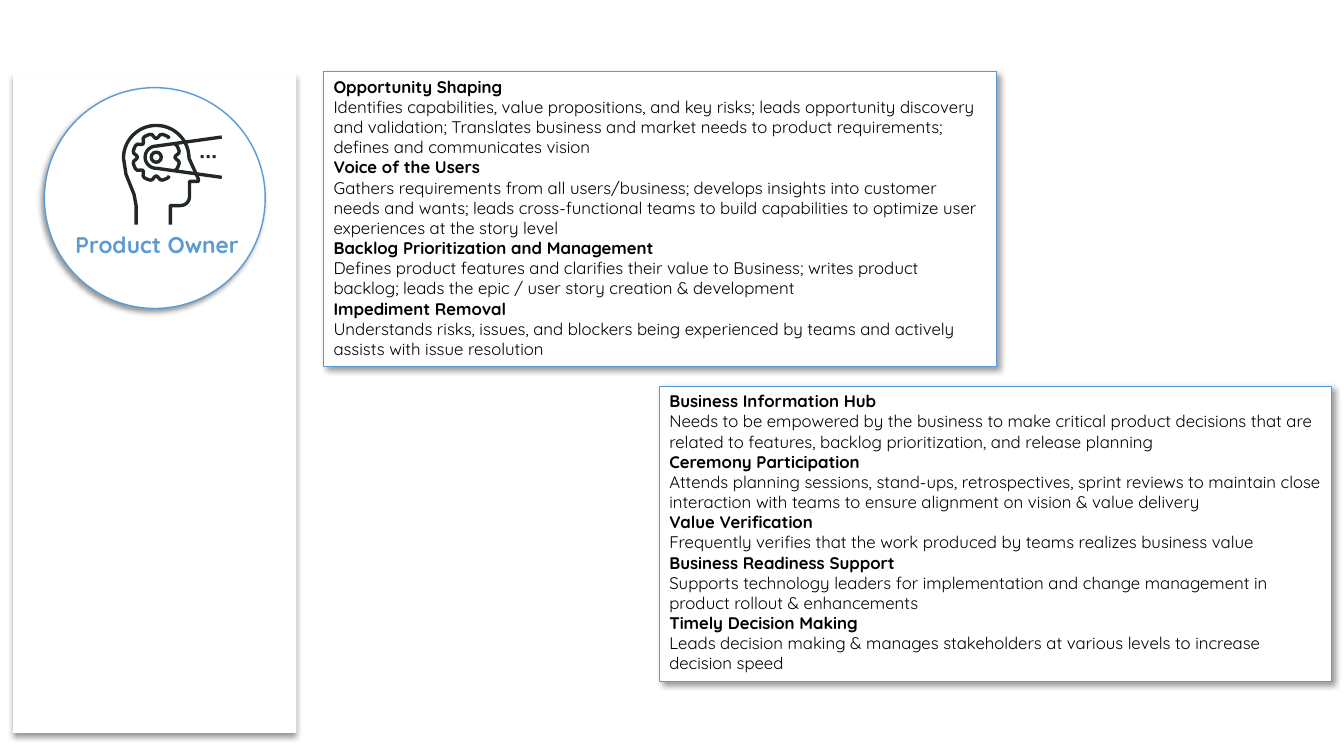
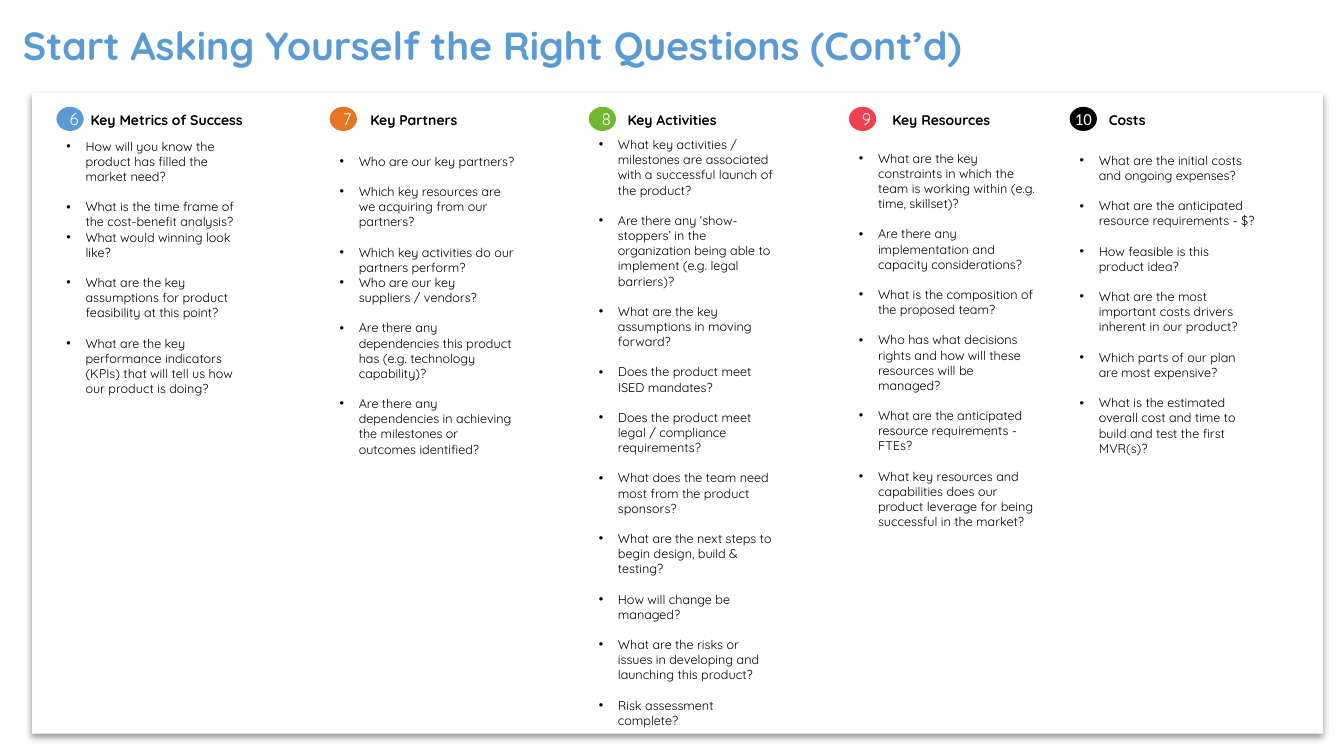
"""Build two slides: the product owner role and a set of product questions."""
import math

import lxml.etree
import pptx
import pptx.dml.color
import pptx.enum.shapes
import pptx.enum.text
import pptx.oxml.ns
import pptx.util

Inches = pptx.util.Inches
Pt = pptx.util.Pt
qn = pptx.oxml.ns.qn
SHAPE = pptx.enum.shapes.MSO_SHAPE
ANCHOR = pptx.enum.text.MSO_ANCHOR
ALIGN = pptx.enum.text.PP_ALIGN
AUTO_SIZE = pptx.enum.text.MSO_AUTO_SIZE

COLORS = {
    "white": "FFFFFF", "black": "000000", "blue": "5B9BD5", "ink": "222829",
    "orange": "E47623", "green": "73B632", "red": "EF4051",
}
BASE = {"name": "Quicksand", "size": 12, "color": "black", "bold": False}
TITLE = BASE | {"size": 28, "color": "blue", "bold": True}
ROLE = TITLE | {"size": 16.2}
STRONG = BASE | {"bold": True}
HEADING = STRONG | {"size": 10}
QUESTION = BASE | {"size": 9}
NUMBER = BASE | {"color": "white"}

DUTIES = [
    ((3.21, 0.71, 6.67, 2.93), [
        ("Opportunity Shaping", "Identifies capabilities, value propositions, and key risks; leads opportunity discovery and validation; Translates business and market needs to product requirements; defines and communicates vision"),
        ("Voice of the Users", "Gathers requirements from all users/business; develops insights into customer needs and wants; leads cross-functional teams to build capabilities to optimize user experiences at the story level"),
        ("Backlog Prioritization and Management", "Defines product features and clarifies their value to Business; writes product backlog; leads the epic / user story creation & development"),
        ("Impediment Removal", "Understands risks, issues, and blockers being experienced by teams and actively assists with issue resolution"),
    ]),
    ((6.54, 3.83, 6.67, 2.93), [
        ("Business Information Hub", "Needs to be empowered by the business to make critical product decisions that are related to features, backlog prioritization, and release planning"),
        ("Ceremony Participation", "Attends planning sessions, stand-ups, retrospectives, sprint reviews to maintain close interaction with teams to ensure alignment on vision & value delivery"),
        ("Value Verification", "Frequently verifies that the work produced by teams realizes business value"),
        ("Business Readiness Support", "Supports technology leaders for implementation and change management in product rollout & enhancements"),
        ("Timely Decision Making", "Leads decision making & manages stakeholders at various levels to increase decision speed"),
    ]),
]

COLUMNS = [
    {"number": "6", "color": "blue", "left": 0.56, "bottom": 3.98,
     "heading": ("Key Metrics of Success", 0.8, 1.82, ALIGN.LEFT),
     "groups": [
         ["How will you know the product has filled the market need?"],
         ["What is the time frame of the cost-benefit analysis?",
          "What would winning look like?"],
         ["What are the key assumptions for product feasibility at this point?"],
         ["What are the key performance indicators (KPIs) that will tell us how our product is doing?"],
     ]},
    {"number": "7", "color": "orange", "left": 3.27, "bottom": 4.58,
     "heading": ("Key Partners", 3.25, 1.71, ALIGN.CENTER),
     "groups": [
         ["Who are our key partners?"],
         ["Which key resources are we acquiring from our partners?"],
         ["Which key activities do our partners perform?",
          "Who are our key suppliers / vendors?"],
         ["Are there any dependencies this product has (e.g. technology capability)?"],
         ["Are there any dependencies in achieving the milestones or outcomes identified?"],
     ]},
    {"number": "8", "color": "green", "left": 5.84, "bottom": 7.27,
     "heading": ("Key Activities", 5.81, 1.71, ALIGN.CENTER),
     "groups": [
         ["What key activities / milestones are associated with a successful launch of the product?"],
         ["Are there any ‘show-stoppers’ in the organization being able to implement (e.g. legal barriers)?"],
         ["What are the key assumptions in moving forward?"],
         ["Does the product meet ISED mandates?"],
         ["Does the product meet legal / compliance requirements?"],
         ["What does the team need most from the product sponsors?"],
         ["What are the next steps to begin design, build & testing?"],
         ["How will change be managed?"],
         ["What are the risks or issues in developing and launching this product?"],
         ["Risk assessment complete?"],
     ]},
    {"number": "9", "color": "red", "left": 8.42, "bottom": 5.3,
     "heading": ("Key Resources", 8.74, 1.19, ALIGN.CENTER),
     "groups": [
         ["What are the key constraints in which the team is working within (e.g. time, skillset)?"],
         ["Are there any implementation and capacity considerations?"],
         ["What is the composition of the proposed team?"],
         ["Who has what decisions rights and how will these resources will be managed?"],
         ["What are the anticipated resource requirements - FTEs?"],
         ["What key resources and capabilities does our product leverage for being successful in the market?"],
     ]},
    {"number": "10", "color": "black", "left": 10.61, "bottom": 4.57,
     "heading": ("Costs", 10.81, 0.65, ALIGN.RIGHT),
     "groups": [
         ["What are the initial costs and ongoing expenses?"],
         ["What are the anticipated resource requirements - $?"],
         ["How feasible is this product idea?"],
         ["What are the most important costs drivers inherent in our product?"],
         ["Which parts of our plan are most expensive?"],
         ["What is the estimated overall cost and time to build and test the first MVR(s)?"],
     ]},
]
HEADING_TOP, HEADING_HEIGHT = 1.06, 0.26
QUESTIONS_TOP = HEADING_TOP + HEADING_HEIGHT
QUESTIONS_WIDTH = 1.95
QUESTION_GAP = 10.8
EYE = (1.55, 1.56)
ICON_WEIGHT = 2.4


def rgb(name):
    return pptx.dml.color.RGBColor.from_string(COLORS[name])


def style_line(shape, color, weight):
    if color:
        shape.line.color.rgb = rgb(color)
        shape.line.width = Pt(weight)
    else:
        shape.line.fill.background()


def add_shape(page, kind, place, fill=None, line=None, weight=1, shadow=None):
    """Add a preset shape; shadow is its direction in degrees."""
    shape = page.shapes.add_shape(kind, *map(Inches, place))
    shape.shadow.inherit = False
    if fill:
        shape.fill.solid()
        shape.fill.fore_color.rgb = rgb(fill)
    else:
        shape.fill.background()
    style_line(shape, line, weight)
    if shadow is not None:
        effects = shape._element.spPr.find(qn("a:effectLst"))
        outer = lxml.etree.SubElement(
            effects, qn("a:outerShdw"), blurRad=str(Pt(4)), dist=str(Pt(3)),
            dir=str(shadow * 60000), algn="t", rotWithShape="0")
        tint = lxml.etree.SubElement(outer, qn("a:srgbClr"), val=COLORS["black"])
        lxml.etree.SubElement(tint, qn("a:alpha"), val="40000")
    return shape


def write(shape, lines, align=ALIGN.LEFT, bullet=False, **frame_values):
    """Write (text, format, space before) lines into a shape."""
    frame = shape.text_frame
    for name, value in ({"word_wrap": True} | frame_values).items():
        setattr(frame, name, value)
    for index, (text, style, gap) in enumerate(lines):
        para = frame.add_paragraph() if index else frame.paragraphs[0]
        if bullet:
            properties = para._p.get_or_add_pPr()
            properties.set("marL", str(Inches(0.19)))
            properties.set("indent", str(-Inches(0.19)))
            lxml.etree.SubElement(properties, qn("a:buFont"), typeface="Arial")
            lxml.etree.SubElement(properties, qn("a:buChar"), char="•")
        para.alignment = align
        para.space_before = Pt(gap)
        span = para.add_run()
        span.text = text
        values = {"name": style["name"], "size": Pt(style["size"]), "bold": style["bold"]}
        for name, value in values.items():
            setattr(span.font, name, value)
        span.font.color.rgb = rgb(style["color"])


def add_text(page, place, lines, **options):
    box = page.shapes.add_textbox(*map(Inches, place))
    write(box, lines, **({"vertical_anchor": ANCHOR.BOTTOM} | options))
    return box


def add_panel(page, place):
    add_shape(page, SHAPE.RECTANGLE, place, "white", shadow=90)


def arc(center, radius, start, end, step=5):
    """Return points along an arc; radius may depend on the angle."""
    points = []
    for degrees in range(start, end + 1, step):
        angle = math.radians(degrees)
        reach = radius(angle) if callable(radius) else radius
        points.append((center[0] + reach * math.cos(angle),
                       center[1] + reach * math.sin(angle)))
    return points


def gear_radius(angle):
    return 0.235 - 0.05 * max(0, math.cos(8 * angle))


def add_icon(page):
    skull = arc((1.55, 1.57), 0.325, 180, 360)
    jaw = arc((1.79, 1.95), 0.09, 0, 90)
    outlines = [
        [(1.35, 2.23), (1.35, 2.04), (1.33, 1.93), (1.25, 1.73), *skull,
         (1.97, 1.78), (1.97, 1.8), (1.88, 1.8), *jaw, (1.69, 2.04), (1.69, 2.23)],
        arc(EYE, gear_radius, 55, 305),
        arc(EYE, gear_radius, -35, 35),
        [(2.2, 1.36), *reversed(arc(EYE, 0.11, 90, 270)), (2.2, 1.76)],
    ]
    for outline in outlines:
        start, *rest = [(Inches(x), Inches(y)) for x, y in outline]
        builder = page.shapes.build_freeform(*start, scale=1.0)
        builder.add_line_segments(rest, close=False)
        shape = builder.convert_to_shape()
        shape.shadow.inherit = False
        shape.fill.background()
        style_line(shape, "ink", ICON_WEIGHT)
    add_shape(page, SHAPE.OVAL, (EYE[0] - 0.05, EYE[1] - 0.05, 0.1, 0.1),
              line="ink", weight=ICON_WEIGHT)
    for index in range(3):
        add_shape(page, SHAPE.RECTANGLE, (1.99 + 0.06 * index, 1.54, 0.03, 0.03), "ink")


def build_role(page):
    add_panel(page, (0.13, 0.72, 2.81, 6.55))
    add_shape(page, SHAPE.OVAL, (0.44, 0.87, 2.19, 2.19), "white", "blue", shadow=135)
    label = add_text(page, (0.65, 2.26, 1.85, 0.35), [("Product Owner", ROLE, 0)])
    label.text_frame.paragraphs[0].line_spacing = 0.9
    add_icon(page)
    for place, duties in DUTIES:
        card = add_shape(page, SHAPE.RECTANGLE, place, "white", "blue", 0.75, shadow=45)
        lines = []
        for name, detail in duties:
            lines += [(name, STRONG, 0), (detail, BASE, 0)]
        write(card, lines, vertical_anchor=ANCHOR.TOP, auto_size=AUTO_SIZE.SHAPE_TO_FIT_TEXT)


def build_questions(page):
    add_panel(page, (0.32, 0.92, 12.8, 6.36))
    add_text(page, (0.13, 0.22, 9.56, 0.51),
             [("Start Asking Yourself the Right Questions (Cont’d)", TITLE, 0)])
    for column in COLUMNS:
        left, number = column["left"], column["number"]
        wide = len(number) > 1
        badge = add_shape(page, SHAPE.OVAL, (left, HEADING_TOP, 0.27, 0.24), column["color"])
        write(badge, [(number, NUMBER | {"name": "Calibri" if wide else "Quicksand"}, 0)],
              align=ALIGN.CENTER, vertical_anchor=ANCHOR.MIDDLE, word_wrap=False,
              margin_left=Inches(0 if wide else 0.08), margin_right=0,
              margin_top=0, margin_bottom=0)
        text, heading_left, width, align = column["heading"]
        add_text(page, (heading_left, HEADING_TOP, width, HEADING_HEIGHT),
                 [(text, HEADING, 0)], align=align)
        lines = [(question, QUESTION, QUESTION_GAP if row and not item else 0)
                 for row, group in enumerate(column["groups"])
                 for item, question in enumerate(group)]
        add_text(page, (left, QUESTIONS_TOP, QUESTIONS_WIDTH, column["bottom"] - QUESTIONS_TOP),
                 lines, bullet=True)


def main():
    deck = pptx.Presentation()
    deck.slide_width, deck.slide_height = Inches(13.33), Inches(7.5)
    for build in (build_role, build_questions):
        build(deck.slides.add_slide(deck.slide_layouts[6]))
    deck.save("out.pptx")


if __name__ == "__main__":
    main()
